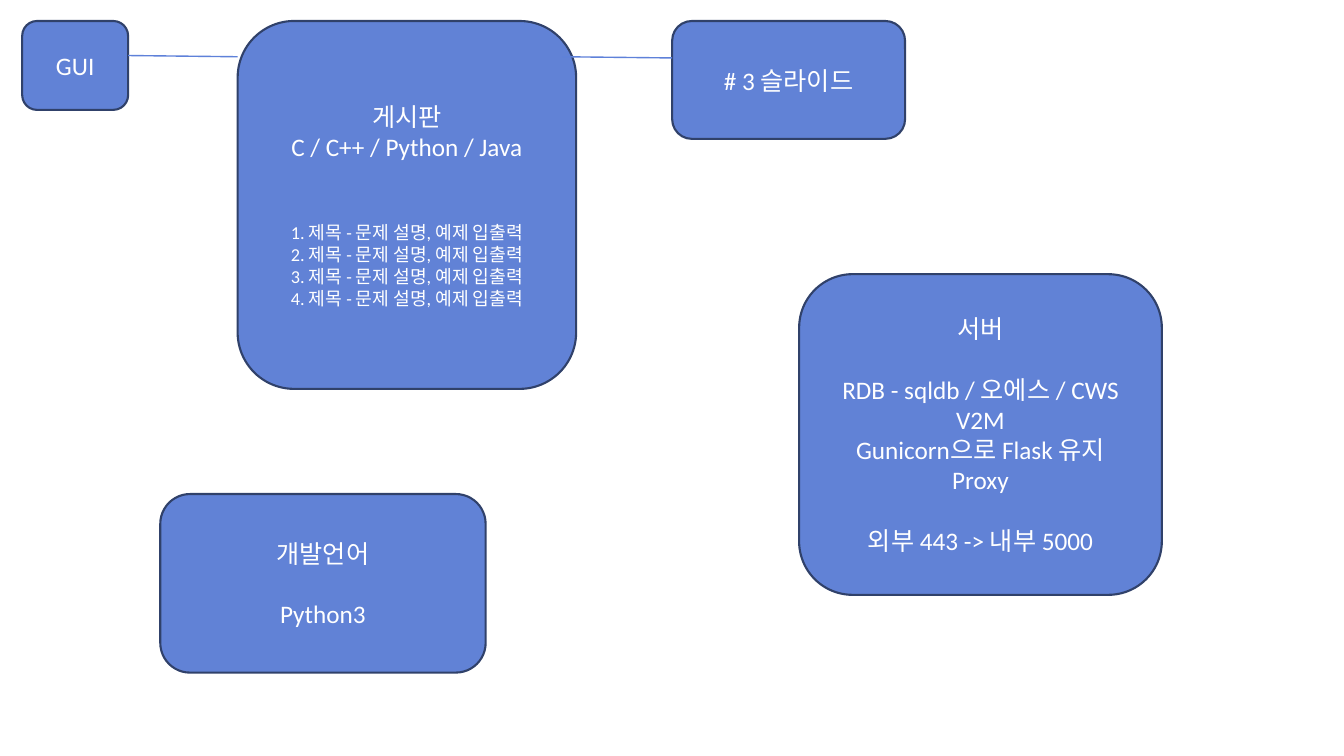
"""Build a one-slide system overview with five boxes and two links."""
import pptx
import pptx.dml.color
import pptx.enum.shapes
import pptx.enum.text
import pptx.oxml
import pptx.util

Cm = pptx.util.Cm
Pt = pptx.util.Pt
RGBColor = pptx.dml.color.RGBColor

BOX_BLUE = RGBColor(0x61, 0x82, 0xD6)
BORDER_NAVY = RGBColor(0x30, 0x41, 0x6A)
LINK_BLUE = RGBColor(0x5E, 0x81, 0xD9)
WHITE = RGBColor(0xFF, 0xFF, 0xFF)
FONT = "Calibri"
SECTION_GAP = 21.5


def write_text(para, text, size=18, before=0):
    """Fill a centred paragraph and format its runs."""
    para.text = text
    para.alignment = pptx.enum.text.PP_ALIGN.CENTER
    para.space_before = Pt(before)
    for span in para.runs:
        span.font.name = FONT
        span.font.size = Pt(size)
        span.font.color.rgb = WHITE


def add_box(page, box, lines):
    """Place a rounded box holding (text, format) lines."""
    shape = page.shapes.add_shape(
        pptx.enum.shapes.MSO_SHAPE.ROUNDED_RECTANGLE, *map(Cm, box))
    shape.shadow.inherit = False
    shape.fill.solid()
    shape.fill.fore_color.rgb = BOX_BLUE
    shape.line.color.rgb = BORDER_NAVY
    shape.line.width = Pt(1.5)
    frame = shape.text_frame
    frame.word_wrap = True
    frame.vertical_anchor = pptx.enum.text.MSO_ANCHOR.MIDDLE
    for index, (text, style) in enumerate(lines):
        para = frame.add_paragraph() if index else frame.paragraphs[0]
        write_text(para, text, **style)


def add_link(page, start, end):
    """Draw a thin line between two points."""
    link = page.shapes.add_connector(
        pptx.enum.shapes.MSO_CONNECTOR.STRAIGHT, *map(Cm, start + end))
    link.line.color.rgb = LINK_BLUE
    link.line.width = Pt(1)
    properties = link._element.spPr
    properties.append(pptx.oxml.parse_xml(
        '<a:effectLst xmlns:a="http://schemas.openxmlformats.org/drawingml/2006/main"/>'))


def add_board(page, box):
    """Place the board box with its numbered posts."""
    lines = [("게시판\vC / C++ / Python / Java", {})]
    for number in range(1, 5):
        before = 2 * SECTION_GAP if number == 1 else 0
        lines.append((f"{number}. 제목 - 문제 설명, 예제 입출력",
                      {"size": 13, "before": before}))
    add_box(page, box, lines)


def add_language(page, box):
    """Place the development language box."""
    add_box(page, box, [("개발언어", {}), ("Python3", {"before": SECTION_GAP})])


def add_server(page, box):
    """Place the server box with its stack and ports."""
    add_box(page, box, [
        ("서버", {}),
        ("RDB - sqldb / 오에스 / CWS V2M", {"before": SECTION_GAP}),
        ("Gunicorn으로 Flask 유지", {}),
        ("Proxy", {}),
        ("외부 443 -> 내부 5000", {"before": SECTION_GAP}),
    ])


def add_top_row(page, box):
    """Place the GUI, board and slide boxes in a row and link them."""
    left, top, width, height = box
    board_left = left + 5.43
    target_left = left + width - 5.87
    add_box(page, (left, top, 2.67, 2.24), [("GUI", {})])
    add_board(page, (board_left, top, 8.53, height))
    add_box(page, (target_left, top, 5.87, 2.97), [("# 3 슬라이드", {})])
    add_link(page, (left + 2.67, top + 0.87), (board_left, top + 0.9))
    add_link(page, (board_left + 8.18, top + 0.9), (target_left, top + 0.93))


def main():
    """Build and save the deck."""
    deck = pptx.Presentation()
    deck.slide_width, deck.slide_height = Cm(33.87), Cm(19.05)
    page = deck.slides.add_slide(deck.slide_layouts[6])
    add_top_row(page, (0.56, 0.53, 22.25, 9.27))
    add_language(page, (4.04, 12.45, 8.2, 4.5))
    add_server(page, (20.14, 6.91, 9.14, 8.08))
    deck.save("out.pptx")


if __name__ == "__main__":
    main()
